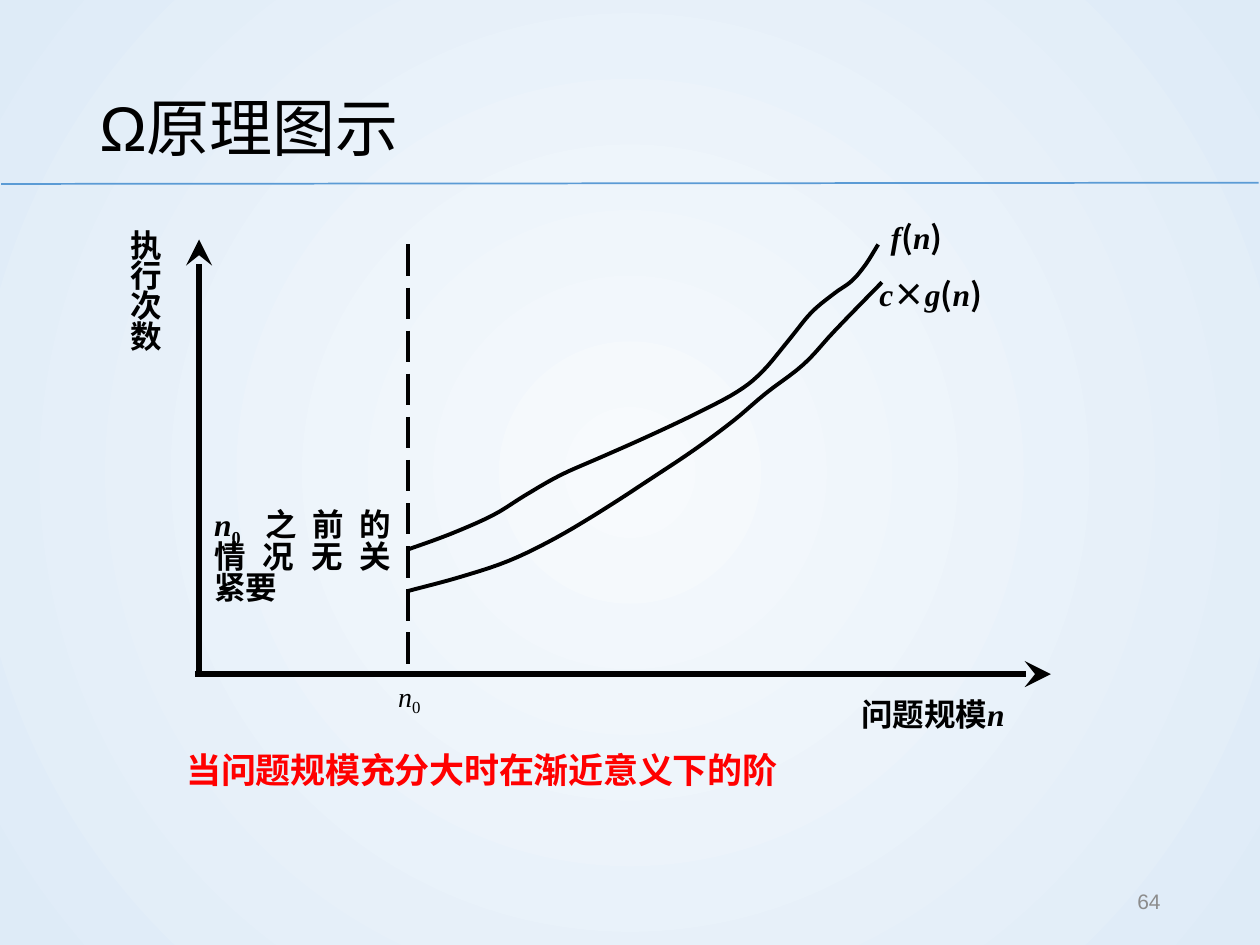
"""Build the slide that illustrates the Ω lower bound."""
from dataclasses import dataclass
from typing import Optional

import pptx
import pptx.dml.color
import pptx.enum.dml
import pptx.enum.shapes
import pptx.enum.text
import pptx.oxml.ns
import pptx.util
from lxml import etree

Inches = pptx.util.Inches
Pt = pptx.util.Pt
qn = pptx.oxml.ns.qn
Align = pptx.enum.text.PP_ALIGN
Anchor = pptx.enum.text.MSO_ANCHOR
AutoSize = pptx.enum.text.MSO_AUTO_SIZE
Point = tuple[float, float]

COLORS = {
    "ink": "000000",
    "accent": "FF0000",
    "rule": "5B9BD5",
    "number": "8C8C8C",
    "center": "F7FAFD",
    "edge": "DEEBF7",
}
SANS, SERIF, HAN = "Arial", "Times New Roman", "Noto Sans CJK SC"
ORIGIN_Y = 5.35
THRESHOLD_X = 3.24


@dataclass
class Run:
    text: str
    face: str = HAN
    size: float = 18
    bold: bool = True
    italic: bool = False
    spacing: float = 0
    baseline: int = 0
    color: str = "ink"


@dataclass
class Label:
    at: tuple[float, float, float, float]
    runs: list[Run]
    align: Optional[Align] = None
    line_spacing: Optional[float] = None


@dataclass
class Stroke:
    start: Point
    end: Point
    width: float
    color: str = "ink"
    dash: Optional[pptx.enum.dml.MSO_LINE] = None
    arrow: bool = False


def symbol(text: str) -> Run:
    return Run(text, SERIF, italic=True, spacing=-0.1)


def sign(text: str) -> Run:
    return Run(text, spacing=-0.1)


LABELS = [
    Label((1.47, 5.94, 5.62, 0.33),
          [Run("当问题规模充分大时在渐近意义下的阶", size=20, spacing=-0.2, color="accent")],
          line_spacing=Pt(23.8)),
    Label((3.15, 5.39, 0.26, 0.27),
          [Run("n", SERIF, 16, False, True), Run("0", SERIF, 16.5, False, False, -0.1, -20)]),
    Label((6.83, 5.52, 1.38, 0.3),
          [Run("问题规", spacing=-0.2), Run("模", spacing=-0.1), Run("n", SERIF, italic=True)]),
    Label((1.03, 1.85, 0.33, 0.97), [Run("执 行 次 数", spacing=-0.1)], Align.JUSTIFY, 0.8),
    Label((1.69, 4.04, 1.41, 0.74),
          [Run("n", SERIF, italic=True), Run("0 ", SERIF, baseline=-23),
           Run("之前", spacing=3.1), Run("的 ", spacing=-0.2),
           Run("情况无", spacing=2.5), Run("关 紧要", spacing=-0.2)],
          Align.JUSTIFY, 0.82),
    Label((7.06, 1.73, 0.67, 0.3), [symbol("f"), sign("("), symbol("n"), sign(")")]),
    Label((6.97, 2.18, 1.02, 0.3),
          [symbol("c"), sign("×"), symbol("g"), sign("("), symbol("n"), sign(")")]),
]
STROKES = [
    Stroke((0.01, 1.46), (9.99, 1.45), 1, "rule"),
    Stroke((1.55, ORIGIN_Y), (8.34, ORIGIN_Y), 3, arrow=True),
    Stroke((1.58, ORIGIN_Y), (1.58, 1.9), 3, arrow=True),
    Stroke((THRESHOLD_X, 1.94), (THRESHOLD_X, ORIGIN_Y), 2.25,
           dash=pptx.enum.dml.MSO_LINE.LONG_DASH),
]
CURVES = {
    "f": [(THRESHOLD_X, 4.36), (3.57, 4.24), (3.91, 4.09), (4.17, 3.93), (4.45, 3.77),
          (4.79, 3.62), (5.15, 3.46), (5.53, 3.28), (5.85, 3.11), (6.05, 2.95),
          (6.26, 2.7), (6.44, 2.48), (6.62, 2.33), (6.76, 2.23), (6.87, 2.1), (6.97, 1.94)],
    "c×g": [(THRESHOLD_X, 4.69), (3.65, 4.58), (4.04, 4.45), (4.41, 4.27), (4.78, 4.05),
            (5.15, 3.81), (5.51, 3.57), (5.82, 3.34), (6.08, 3.12), (6.38, 2.89),
            (6.63, 2.62), (7, 2.24)],
}


def rgb(name: str) -> pptx.dml.color.RGBColor:
    return pptx.dml.color.RGBColor.from_string(COLORS[name])


def set_all(target, values: dict) -> None:
    for name, value in values.items():
        setattr(target, name, value)


def paint_background(slide) -> None:
    fill = slide.background.fill
    fill.gradient()
    for stop, name in zip(fill.gradient_stops, ("center", "edge")):
        stop.color.rgb = rgb(name)
    fill.gradient_stops[0].position, fill.gradient_stops[1].position = 0, 1
    gradient = slide.element.find(".//" + qn("a:gradFill"))
    linear = gradient.find(qn("a:lin"))
    radial = etree.Element(qn("a:path"), {"path": "circle"})
    etree.SubElement(radial, qn("a:fillToRect"), dict.fromkeys("ltrb", "50000"))
    gradient.replace(linear, radial)


def write_run(paragraph, item: Run) -> None:
    run = paragraph.add_run()
    run.text = item.text
    set_all(run.font, {"name": item.face, "size": Pt(item.size),
                       "bold": item.bold, "italic": item.italic})
    run.font.color.rgb = rgb(item.color)
    properties = run.font._element
    etree.SubElement(properties, qn("a:ea"), {"typeface": HAN})
    if item.spacing:
        properties.set("spc", str(round(item.spacing * 100)))
    if item.baseline:
        properties.set("baseline", str(item.baseline * 1000))


def draw_label(slide, label: Label) -> None:
    frame = slide.shapes.add_textbox(*map(Inches, label.at)).text_frame
    set_all(frame, {"margin_left": 0, "margin_right": 0, "margin_top": 0, "margin_bottom": 0,
                    "word_wrap": True, "auto_size": AutoSize.SHAPE_TO_FIT_TEXT})
    paragraph = frame.paragraphs[0]
    set_all(paragraph, {"alignment": label.align, "line_spacing": label.line_spacing})
    paragraph._p.get_or_add_pPr().set("marL", str(Inches(0.01)))
    for item in label.runs:
        write_run(paragraph, item)


def draw_stroke(slide, stroke: Stroke) -> None:
    connector = slide.shapes.add_connector(
        pptx.enum.shapes.MSO_CONNECTOR.STRAIGHT, *map(Inches, stroke.start + stroke.end))
    line = connector.line
    line.color.rgb = rgb(stroke.color)
    set_all(line, {"width": Pt(stroke.width), "dash_style": stroke.dash})
    if stroke.arrow:
        etree.SubElement(line._get_or_add_ln(), qn("a:tailEnd"),
                         {"type": "stealth", "w": "lg", "len": "lg"})
    etree.SubElement(connector._element.spPr, qn("a:effectLst"))


def smooth_points(knots: list[Point], steps: int = 5) -> list[Point]:
    padded = [knots[0], *knots, knots[-1]]
    points = [knots[0]]
    for window in zip(padded, padded[1:], padded[2:], padded[3:]):
        for step in range(1, steps + 1):
            t = step / steps
            points.append(tuple(
                b + t * (c - a) / 2 + t**2 * (2 * a - 5 * b + 4 * c - d) / 2
                + t**3 * (3 * b - a - 3 * c + d) / 2
                for a, b, c, d in zip(*window)))
    return points


def draw_curve(slide, knots: list[Point]) -> None:
    points = [(Inches(x), Inches(y)) for x, y in smooth_points(knots)]
    builder = slide.shapes.build_freeform(*points[0])
    builder.add_line_segments(points[1:], close=False)
    curve = builder.convert_to_shape()
    curve.shadow.inherit = False
    curve.fill.background()
    curve.line.color.rgb = rgb("ink")
    curve.line.width = Pt(2.25)


def write_title(slide) -> None:
    title = slide.shapes.title
    set_all(title, dict(zip(("left", "top", "width", "height"),
                            map(Inches, (0.69, 0.4, 8.62, 1.08)))))
    set_all(title.text_frame, {"vertical_anchor": Anchor.MIDDLE, "auto_size": AutoSize.NONE})
    paragraph = title.text_frame.paragraphs[0]
    set_all(paragraph, {"alignment": Align.LEFT, "line_spacing": 1.2})
    write_run(paragraph, Run("Ω原理图示", SANS, 36, False))


def write_page_number(slide) -> None:
    frame = slide.shapes.add_textbox(*map(Inches, (7.06, 6.95, 2.25, 0.4))).text_frame
    set_all(frame, {"vertical_anchor": Anchor.MIDDLE, "word_wrap": True})
    frame.paragraphs[0].alignment = Align.RIGHT
    write_run(frame.paragraphs[0], Run("64", SANS, 12, False, color="number"))


def main() -> None:
    deck = pptx.Presentation()
    set_all(deck, {"slide_width": Inches(10), "slide_height": Inches(7.5)})
    slide = deck.slides.add_slide(deck.slide_layouts[5])
    paint_background(slide)
    write_title(slide)
    write_page_number(slide)
    for stroke in STROKES:
        draw_stroke(slide, stroke)
    for knots in CURVES.values():
        draw_curve(slide, knots)
    for label in LABELS:
        draw_label(slide, label)
    deck.save("out.pptx")


if __name__ == "__main__":
    main()
